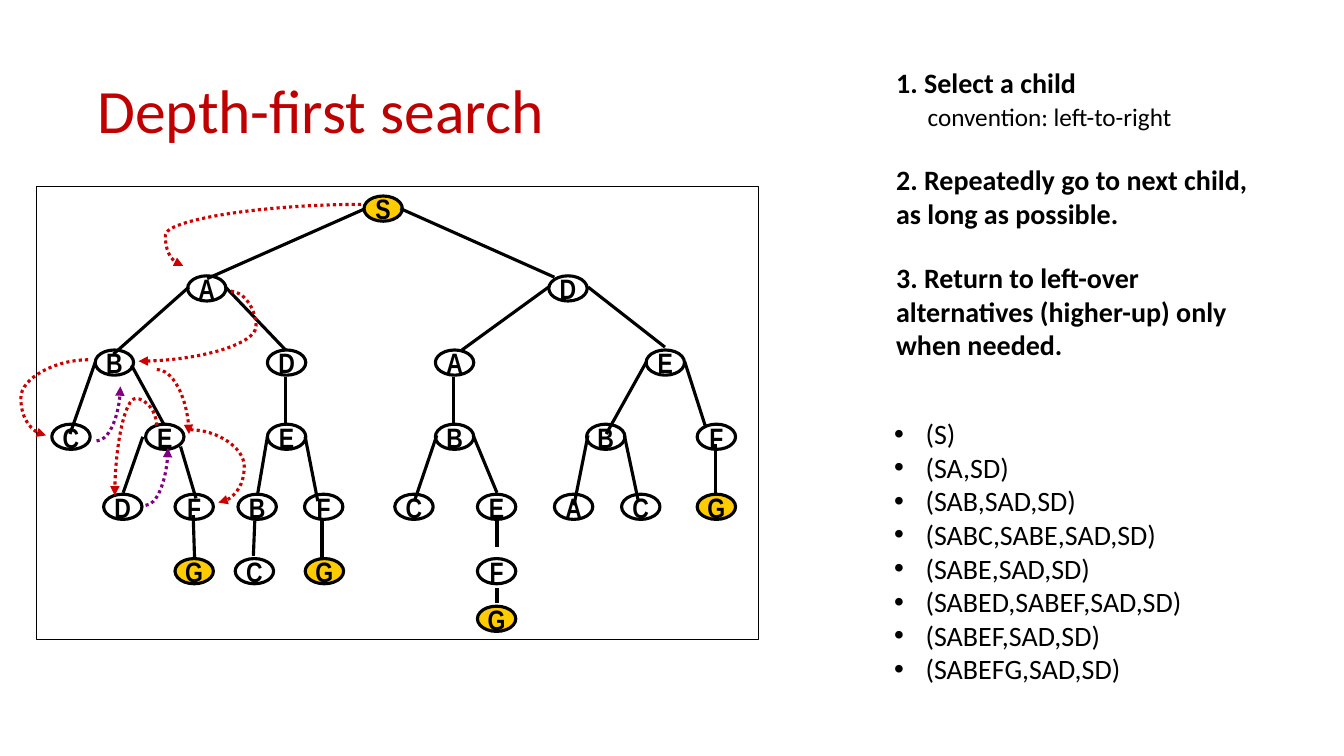
from lxml.etree import SubElement
from pptx import Presentation
from pptx.dml.color import RGBColor
from pptx.enum.dml import MSO_LINE
from pptx.enum.shapes import MSO_CONNECTOR, MSO_SHAPE
from pptx.enum.text import MSO_ANCHOR, MSO_AUTO_SIZE, PP_ALIGN
from pptx.oxml.ns import qn
from pptx.util import Pt

BLACK = RGBColor(0x00, 0x00, 0x00)
WHITE = RGBColor(0xFF, 0xFF, 0xFF)
GOLD = RGBColor(0xFF, 0xCC, 0x00)
TITLE_RED = RGBColor(0xC0, 0x00, 0x00)
FORWARD = RGBColor(0xCC, 0x00, 0x00)
BACKTRACK = RGBColor(0x80, 0x00, 0x80)

# Top of each tree level: letters with the left edge of their nodes
LEVELS = {
    140: [("S", 260)],
    197: [("A", 134), ("D", 392)],
    250: [("B", 68), ("D", 191), ("A", 311), ("E", 461.5)],
    303: [("C", 37), ("E", 104), ("E", 191), ("B", 311), ("B", 419), ("F", 498)],
    353: [("D", 74), ("F", 125), ("B", 170), ("F", 217.5), ("C", 282),
          ("E", 341), ("A", 396), ("C", 444), ("G", 498)],
    399: [("G", 125), ("C", 168), ("G", 218), ("F", 341)],
    433: [("G", 341)],
}

EDGES = [
    (261, 149, 148, 199), (286, 149, 396, 198),
    (135, 205, 81, 253), (161, 205, 204, 250),
    (392, 205, 330, 250), (420, 205, 475, 248),
    (68, 259, 50, 310), (94, 261, 117, 303),
    (204, 269, 204, 302), (324, 269, 324, 304),
    (462, 258, 433, 310), (489, 258, 504, 305),
    (102, 312, 88, 352), (129, 319, 140, 356),
    (191, 312, 184, 353), (218, 312, 227, 358),
    (312, 311, 296, 358), (338, 311, 355, 352),
    (420, 311, 410, 361), (446, 311, 456, 358),
    (511, 317, 511, 354), (138, 368, 139, 399),
    (182, 372, 181, 397), (230, 370, 230, 399),
    (355, 372, 355, 391), (355, 420, 355, 431),
]

# Ends, colour, bend in percent (None for a quarter turn), leaves vertically
MOVES = [
    ((258, 146, 131, 190), FORWARD, 110.1, False),
    ((165, 208, 99, 258), FORWARD, -27.2, False),
    ((63, 257, 33, 311), FORWARD, 160.3, False),
    ((69, 315, 86, 276), BACKTRACK, None, False),
    ((112, 264, 135, 310), FORWARD, None, False),
    ((112, 304, 82, 354), FORWARD, -38.7, True),
    ((104, 361, 120, 320), BACKTRACK, None, False),
    ((136, 307, 156, 359), FORWARD, 192.3, False),
]

STEPS = [
    ("1. Select a child", dict(bold=True)),
    ("convention: left-to-right", dict(size=18, before=2, indent=22.5)),
    ("2. Repeatedly go to next child, as long as possible.",
     dict(bold=True, before=22)),
    ("3. Return to left-over alternatives (higher-up) only when needed.",
     dict(bold=True, before=22)),
]

QUEUES = ["(S)", "(SA,SD)", "(SAB,SAD,SD)", "(SABC,SABE,SAD,SD)",
          "(SABE,SAD,SD)", "(SABED,SABEF,SAD,SD)", "(SABEF,SAD,SD)",
          "(SABEFG,SAD,SD)"]


def write(p, text, size=20, bold=False, font="Calibri", color=BLACK,
          align=PP_ALIGN.LEFT, before=0, spacing=1.0, indent=0, bullet=None):
    """Fill a paragraph with one formatted run."""
    pPr = p._p.get_or_add_pPr()
    pPr.set("marL", str(Pt(indent)))
    pPr.set("indent", str(Pt(-indent if bullet else 0)))
    if bullet:
        SubElement(pPr, qn("a:buFont"), typeface="Arial")
        SubElement(pPr, qn("a:buChar"), char=bullet)
    p.alignment, p.space_before, p.line_spacing = align, Pt(before), spacing
    r = p.add_run()
    r.text = text
    r.font.size, r.font.bold, r.font.name = Pt(size), bold, font
    r.font.color.rgb = color


class TreeSlide:
    node_size = (27.4, 18)
    line_width = 2.25
    inset = 3.6

    def __init__(self, prs):
        self.slide = prs.slides.add_slide(prs.slide_layouts[1])
        self.shapes = self.slide.shapes

    def paragraphs(self, sp, box, items, inset, anchor=MSO_ANCHOR.TOP):
        """Place a text shape and write (text, format) items into it."""
        sp.left, sp.top, sp.width, sp.height = map(Pt, box)
        tf = sp.text_frame
        tf.word_wrap, tf.auto_size = True, MSO_AUTO_SIZE.NONE
        tf.vertical_anchor = anchor
        tf.margin_left = tf.margin_right = Pt(inset)
        tf.margin_top = tf.margin_bottom = Pt(3.6)
        for i, (text, style) in enumerate(items):
            write(tf.add_paragraph() if i else tf.paragraphs[0], text, **style)

    def title(self, text, *box):
        style = dict(size=44, color=TITLE_RED, spacing=0.9)
        self.paragraphs(self.shapes.title, box, [(text, style)], self.inset,
                        MSO_ANCHOR.MIDDLE)

    def bullets(self, texts, *box):
        style = dict(indent=22.5, bullet="•")
        self.paragraphs(self.slide.placeholders[1], box,
                        [(text, style) for text in texts], self.inset)

    def text_box(self, items, *box):
        sp = self.shapes.add_textbox(*map(Pt, box))
        self.paragraphs(sp, box, items, 7.2)

    def shape(self, kind, box, fill, width):
        sp = self.shapes.add_shape(kind, *map(Pt, box))
        sp.shadow.inherit = False
        if fill is None:
            sp.fill.background()
        else:
            sp.fill.solid()
            sp.fill.fore_color.rgb = fill
        sp.line.color.rgb, sp.line.width = BLACK, Pt(width)
        return sp

    def frame(self, *box):
        self.shape(MSO_SHAPE.RECTANGLE, box, WHITE, 0.75)

    def node(self, letter, x, y):
        sp = self.shape(MSO_SHAPE.OVAL, (x, y, *self.node_size),
                        GOLD if letter in "SG" else None, self.line_width)
        tf = sp.text_frame
        tf.word_wrap, tf.vertical_anchor = False, MSO_ANCHOR.MIDDLE
        write(tf.paragraphs[0], letter, bold=True, font="Arial Narrow",
              align=PP_ALIGN.CENTER)

    def edge(self, ends, color=BLACK, kind=MSO_CONNECTOR.STRAIGHT):
        cn = self.shapes.add_connector(kind, *map(Pt, ends))
        cn.line.color.rgb, cn.line.width = color, Pt(self.line_width)
        SubElement(cn.element.spPr, qn("a:effectLst"))
        return cn

    def move(self, ends, color, bend, vertical):
        """Draw a dotted curved arrow; a vertical start is a quarter rotation."""
        x1, y1, x2, y2 = ends
        if vertical:
            cx, cy = (x1 + x2) / 2, (y1 + y2) / 2
            ends = (cx - y1 + cy, cy + x1 - cx, cx - y2 + cy, cy + x2 - cx)
        cn = self.edge(ends, color, MSO_CONNECTOR.CURVE)
        cn.line.dash_style = MSO_LINE.ROUND_DOT
        spPr = cn.element.spPr
        SubElement(spPr.find(qn("a:ln")), qn("a:tailEnd"), type="triangle")
        if vertical:
            spPr.find(qn("a:xfrm")).set("rot", str(270 * 60000))
        geom = spPr.find(qn("a:prstGeom"))
        if bend is None:
            geom.set("prst", "curvedConnector2")
        else:
            SubElement(geom.find(qn("a:avLst")), qn("a:gd"), name="adj1",
                       fmla=f"val {round(bend * 1000)}")


def main():
    prs = Presentation()
    prs.slide_width, prs.slide_height = Pt(960), Pt(540)
    s = TreeSlide(prs)
    s.title("Depth-first search", 66, 29, 828, 104)
    s.frame(26, 133, 516, 324)
    for top, nodes in LEVELS.items():
        for letter, left in nodes:
            s.node(letter, left, top)
    for ends in EDGES:
        s.edge(ends)
    for move in MOVES:
        s.move(*move)
    s.text_box(STEPS, 633, 43, 266, 220)
    s.bullets(QUEUES, 635, 294, 220, 201)
    prs.save("out.pptx")


if __name__ == "__main__":
    main()
